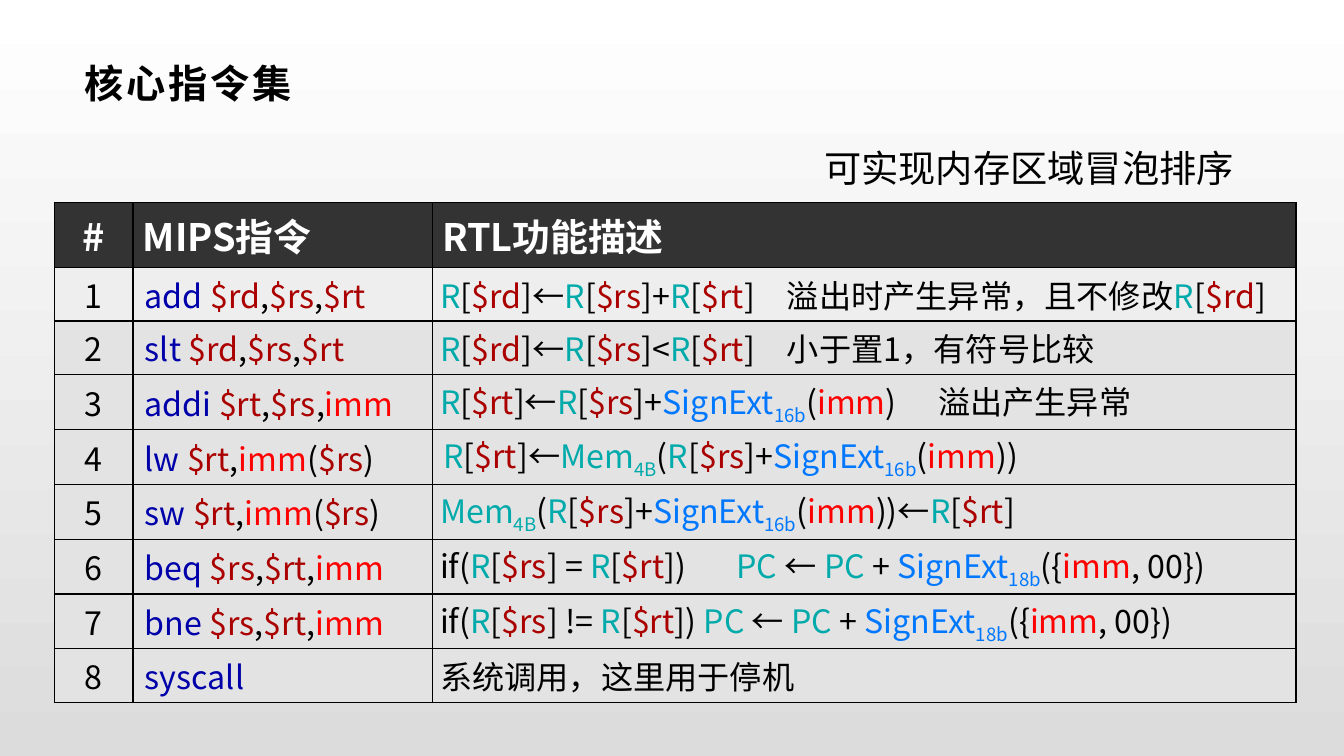
import pptx
import pptx.util
import pptx.dml.color
import pptx.enum.text
import pptx.oxml
import pptx.oxml.ns

Cm = pptx.util.Cm
Pt = pptx.util.Pt
Align = pptx.enum.text.PP_ALIGN
Middle = pptx.enum.text.MSO_ANCHOR.MIDDLE
NOTO = "Noto Sans CJK SC"
SPACE = pptx.oxml.ns.nsdecls("a")


def tint(code):
    return pptx.dml.color.RGBColor.from_string(code)


def write(para, text, color="000000", **look):
    """Add one run; look holds values for its font."""
    run = para.add_run()
    run.text = text
    for key, value in {"name": NOTO, "bold": False, **look}.items():
        setattr(run.font, key, value)
    run.font.fill.solid()
    run.font.fill.fore_color.rgb = tint(color)
    props = run._r.get_or_add_rPr()
    props.append(pptx.oxml.parse_xml(f'<a:ea {SPACE} typeface="{NOTO}"/>'))
    return props


deck = pptx.Presentation()
deck.slide_width, deck.slide_height = Cm(33.87), Cm(19.05)
slide = deck.slides.add_slide(deck.slide_layouts[5])

# Background
back = slide.background.fill
back.gradient()
back.gradient_angle = 270
for stop, code, place in zip(back.gradient_stops, ("FFFFFF", "DCDCDC"), (0, 1)):
    stop.color.rgb = tint(code)
    stop.position = place

# Title
title = slide.shapes.title
spot = {"left": 1.85, "top": 1.19, "width": 30.15, "height": 1.8}
for key, value in spot.items():
    setattr(title, key, Cm(value))
frame = title.text_frame
insets = {"margin_left": 0.28, "margin_top": 0.1,
          "margin_right": 0.2, "margin_bottom": 0.1}
for key, value in insets.items():
    setattr(frame, key, Cm(value))
frame.vertical_anchor = Middle
frame.paragraphs[0].alignment = Align.LEFT
props = write(frame.paragraphs[0], "核心指令集", name="Arial", size=Pt(28), bold=True)
props.set("spc", "200")

# Table: code, effect, indent of effect, tab stop
HEAD = ("#", "MIPS指令", "RTL功能描述")
ROWS = [
    ("add $rd,$rs,$rt", "R[$rd]←R[$rs]+R[$rt]\t溢出时产生异常，且不修改R[$rd]", 0.15, 9),
    ("slt $rd,$rs,$rt", "R[$rd]←R[$rs]<R[$rt]\t小于置1，有符号比较", 0.15, 9),
    ("addi $rt,$rs,imm", "R[$rt]←R[$rs]+SignExt16b(imm)\t溢出产生异常", 0.15, 14.6),
    ("lw $rt,imm($rs)", "R[$rt]←Mem4B(R[$rs]+SignExt16b(imm))", 0.23, 0),
    ("sw $rt,imm($rs)", "Mem4B(R[$rs]+SignExt16b(imm))←R[$rt]", 0.15, 0),
    ("beq $rs,$rt,imm", "if(R[$rs] = R[$rt])\tPC ← PC + SignExt18b({imm, 00})", 0.15, 6.7),
    ("bne $rs,$rt,imm", "if(R[$rs] != R[$rt]) PC ← PC + SignExt18b({imm, 00})", 0.15, 0),
    ("syscall", "系统调用，这里用于停机", 0.15, 0),
]
HUES = {"$rd": "AA0000", "$rs": "AA0000", "$rt": "AA0000", "imm": "FF0000",
        "R": "00AAAA", "PC": "00AAAA", "Mem": "00AAAA", "4B": "00AAAA",
        "SignExt": "0077FF", "16b": "0077FF", "18b": "0077FF"}
SUBS = ("4B", "16b", "18b")

table = slide.shapes.add_table(
    len(ROWS) + 1, 3, Cm(1.37), Cm(5.11), Cm(31.29), Cm(12.47)).table
table.horz_banding = False
for col, width in zip(table.columns, (1.98, 7.54, 21.77)):
    col.width = Cm(width)
for i, row in enumerate(table.rows):
    row.height = Cm(1.35 if i else 1.63)
    if i:
        code, deed, inset, tab = ROWS[i - 1]
        texts, starts = (str(i), code, deed), (0, 0.25, inset)
        shade = "EEEEEE" if i == 1 else "E3E3E3"
    else:
        texts, starts, tab, shade = HEAD, (0, 0.2, 0.2), 0, "333333"
    for j, cell in enumerate(row.cells):
        cell.vertical_anchor = Middle
        for key in insets:
            setattr(cell, key, Cm(0.05))
        edges = cell._tc.get_or_add_tcPr()
        for side in "LRTB":
            edges.append(pptx.oxml.parse_xml(
                f'<a:ln{side} {SPACE} w="12700"><a:solidFill>'
                f'<a:srgbClr val="000000"/></a:solidFill></a:ln{side}>'))
        cell.fill.solid()
        cell.fill.fore_color.rgb = tint(shade)

        para = cell.text_frame.paragraphs[0]
        para.alignment = Align.JUSTIFY if j else Align.CENTER
        form = para._p.get_or_add_pPr()
        form.set("marL", "0")
        form.set("indent", str(Cm(starts[j])))
        if j == 2 and tab:
            form.append(pptx.oxml.parse_xml(
                f'<a:tabLst {SPACE}><a:tab pos="{Cm(tab)}" algn="l"/></a:tabLst>'))

        text = texts[j]
        if i == 0:
            write(para, text, "FFFFFF", size=Pt(27), bold=True)
            continue
        if j == 1:
            name, gap, text = text.partition(" ")
            write(para, name + gap, "0000AA", size=Pt(23))
        for word in HUES:
            text = text.replace(word, f"|{word}|")
        for part in filter(None, text.split("|")):
            props = write(para, part, HUES.get(part, "000000"), size=Pt(23))
            if part in SUBS:
                props.set("baseline", "-25000")

# Note above the table
note = slide.shapes.add_textbox(Cm(20.52), Cm(3.53), Cm(10.9), Cm(1.4)).text_frame
note.word_wrap = False
note.auto_size = pptx.enum.text.MSO_AUTO_SIZE.SHAPE_TO_FIT_TEXT
write(note.paragraphs[0], "可实现内存区域冒泡排序", size=Pt(26.6))

deck.save("out.pptx")
